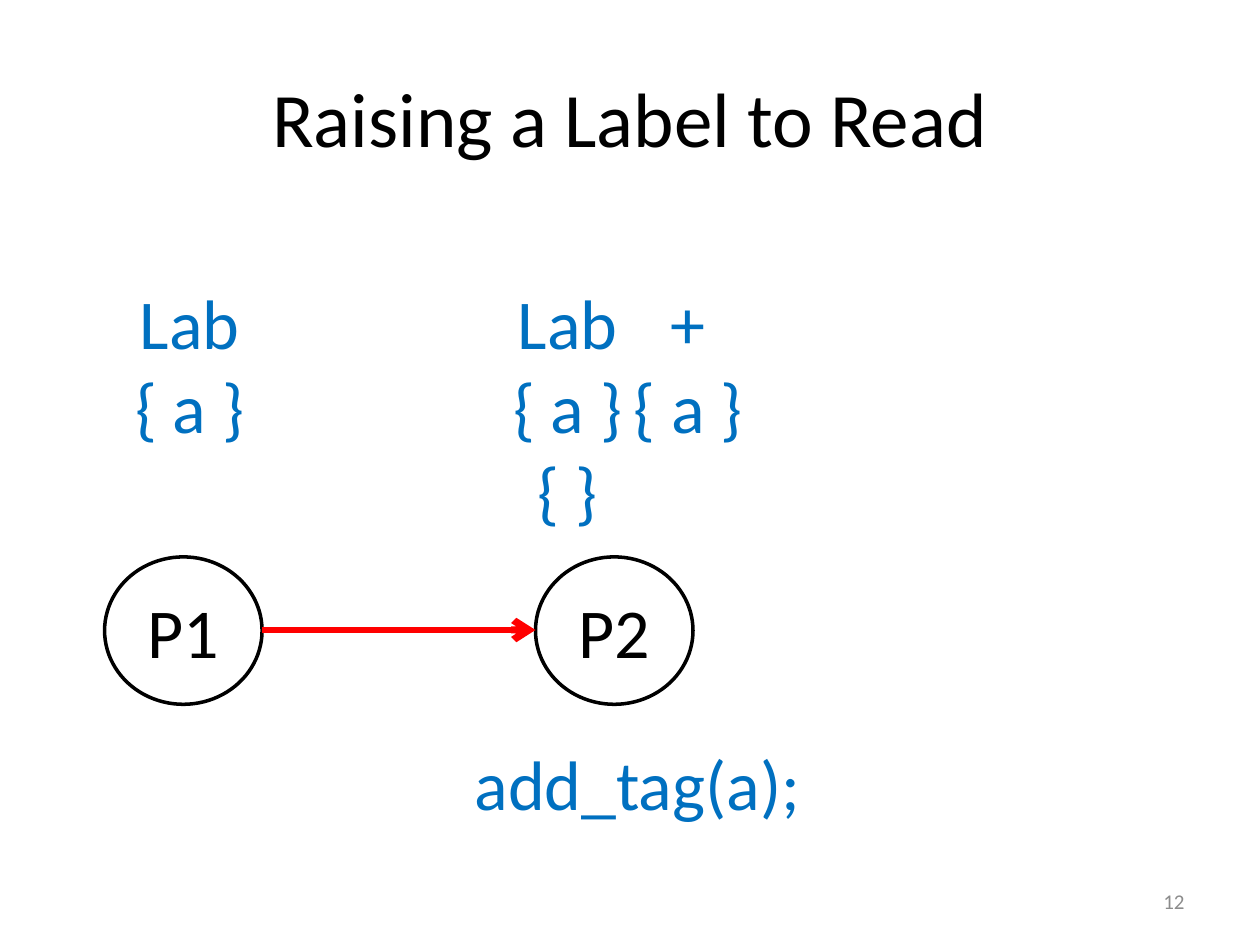
from lxml.etree import SubElement
from pptx import Presentation
from pptx.dml.color import RGBColor
from pptx.enum.shapes import MSO_CONNECTOR, MSO_SHAPE
from pptx.enum.text import MSO_ANCHOR, PP_ALIGN
from pptx.oxml.ns import qn
from pptx.util import Inches, Pt

FONT = "Calibri"
BLACK, WHITE, BLUE, RED, GRAY = "000000", "FFFFFF", "0070C0", "FF0000", "8C8C8C"
P1_LEFT, P2_LEFT = 0.83, 4.25
CIRCLE_TOP, CIRCLE_W, CIRCLE_H = 4.42, 1.25, 1.17
LABEL_TOP = 2.17


def rgb(color):
    return RGBColor.from_string(color)


def write(tf, lines, size, color, align, anchor):
    tf.word_wrap = True
    tf.vertical_anchor = anchor
    for i, line in enumerate(lines):
        p = tf.add_paragraph() if i else tf.paragraphs[0]
        p.alignment = align
        r = p.add_run()
        r.text = line
        r.font.name = FONT
        r.font.size = Pt(size)
        r.font.color.rgb = rgb(color)


def add_text(s, box, lines, size=40, color=BLUE, align=PP_ALIGN.CENTER,
             anchor=MSO_ANCHOR.TOP):
    sp = s.shapes.add_textbox(*map(Inches, box))
    write(sp.text_frame, lines, size, color, align, anchor)


def add_process(s, left, name):
    sp = s.shapes.add_shape(MSO_SHAPE.OVAL, Inches(left), Inches(CIRCLE_TOP),
                            Inches(CIRCLE_W), Inches(CIRCLE_H))
    sp.shadow.inherit = False
    sp.fill.solid()
    sp.fill.fore_color.rgb = rgb(WHITE)
    sp.line.color.rgb = rgb(BLACK)
    sp.line.width = Pt(2)
    write(sp.text_frame, [name], 40, BLACK, PP_ALIGN.CENTER, MSO_ANCHOR.MIDDLE)


def add_arrow(s, x1, x2, y):
    line = s.shapes.add_connector(MSO_CONNECTOR.STRAIGHT, Inches(x1), Inches(y),
                                  Inches(x2), Inches(y))
    line.line.color.rgb = rgb(RED)
    line.line.width = Pt(4)
    SubElement(line.line._get_or_add_ln(), qn("a:tailEnd"), type="arrow")
    SubElement(line._element.spPr, qn("a:effectLst"))


def main():
    prs = Presentation()
    prs.slide_width, prs.slide_height = Inches(10), Inches(7.5)
    s = prs.slides.add_slide(prs.slide_layouts[6])

    add_text(s, (0.5, 0.3, 9, 1.25), ["Raising a Label to Read"], 44, BLACK,
             anchor=MSO_ANCHOR.MIDDLE)
    add_process(s, P2_LEFT, "P2")
    add_text(s, (4.92, LABEL_TOP, 1.08, 1.45), ["+", "{ a }"])
    add_text(s, (3.92, LABEL_TOP, 1.17, 2.12), ["Lab", "{ a }", "{ }"])
    add_process(s, P1_LEFT, "P1")
    add_text(s, (0.92, LABEL_TOP, 1.17, 1.45), ["Lab", "{ a }"])
    add_arrow(s, P1_LEFT + CIRCLE_W, P2_LEFT, 5)
    add_text(s, (7.17, 6.95, 2.33, 0.4), ["12"], 12, GRAY, PP_ALIGN.RIGHT,
             MSO_ANCHOR.MIDDLE)
    add_text(s, (3.67, 5.83, 2.83, 0.77), ["add_tag(a);"], align=PP_ALIGN.LEFT)
    prs.save("out.pptx")


if __name__ == "__main__":
    main()
